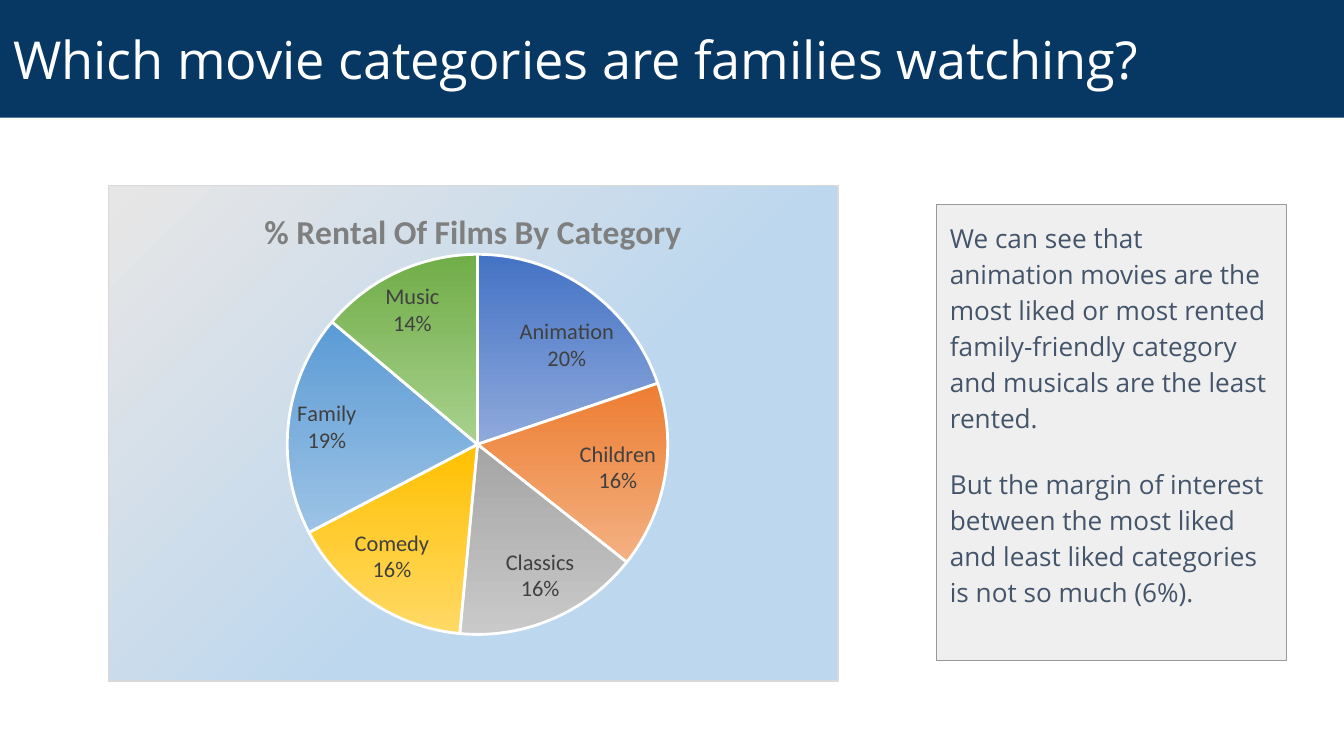
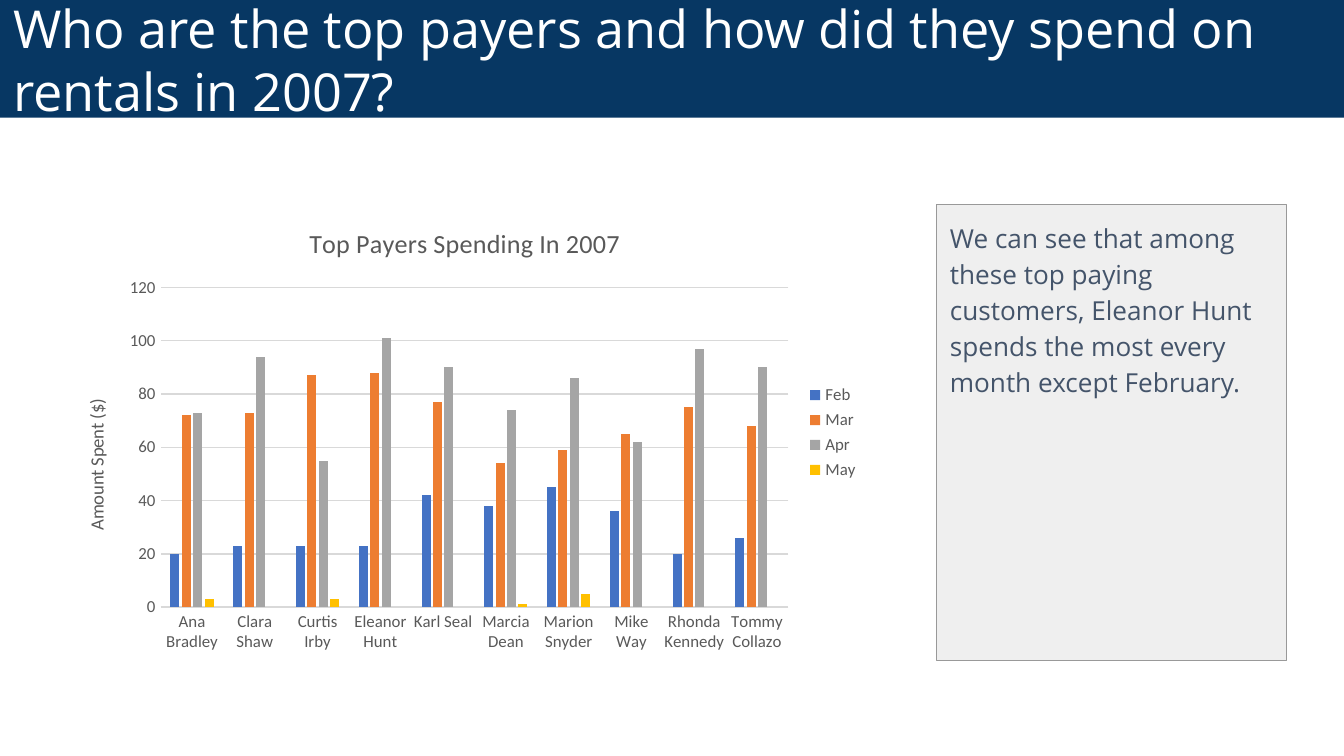
from dataclasses import dataclass

from lxml import etree
from pptx import Presentation
from pptx import util as u
from pptx.chart.data import CategoryChartData
from pptx.dml.color import RGBColor
from pptx.enum import chart as ce
from pptx.enum import shapes, text
from pptx.oxml import parse_xml
from pptx.oxml.ns import nsdecls, qn

PX = 9525  # EMU in one px, 96 px to the inch


@dataclass(frozen=True)
class Theme:
    head: str = "Open Sans"
    plot: str = "Calibri"
    navy: str = "073763"
    white: str = "FFFFFF"
    panel: str = "EFEFEF"
    edge: str = "999999"
    body: str = "44546A"
    grid: str = "D9D9D9"
    axis: str = "595959"
    label: str = "404040"
    bold: str = "7F7F7F"
    sky: str = "BDD7EE"
    mist: str = "E7E6E6"
    hues: tuple = ("4472C4", "ED7D31", "A5A5A5", "FFC000", "5B9BD5", "70AD47", "264478")
    tints: tuple = ("8FAADC", "F4B183", "C9C9C9", "FFD966", "9DC3E6", "A9D18E", "5F86CC")
    title: int = 28
    note: int = 14
    pie_title: int = 18
    bar_title: int = 14
    slice: int = 12
    axis_title: int = 10
    tick: int = 9


def rgb(code):
    return RGBColor.from_string(code)


def style(font, face, size, color, bold=False):
    font.name, font.size, font.bold = face, u.Pt(size), bold
    font.color.rgb = rgb(color)


def stroke(line, color, width=0.75):
    line.color.rgb = rgb(color)
    line.width = u.Pt(width)


class Deck:
    def __init__(self, theme):
        self.look = theme
        self.prs = Presentation()
        self.prs.slide_width = 960 * PX
        self.prs.slide_height = 540 * PX
        self.slide = None

    def page(self, title):
        """Start a slide with its title band."""
        look = self.look
        self.slide = self.prs.slides.add_slide(self.prs.slide_layouts[6])
        band = self.box(0, 0, 960, 84, look.navy)
        self.label(band, [title], look.title, look.white, text.MSO_ANCHOR.MIDDLE)

    def box(self, x, y, w, h, fill, edge=None):
        kind = shapes.MSO_SHAPE.RECTANGLE
        box = self.slide.shapes.add_shape(kind, x * PX, y * PX, w * PX, h * PX)
        box.shadow.inherit = False
        box.fill.solid()
        box.fill.fore_color.rgb = rgb(fill)
        if edge:
            stroke(box.line, edge)
        else:
            box.line.fill.background()
        return box

    def label(self, box, paras, size, color, anchor, lead=1.0, after=0):
        frame = box.text_frame
        frame.word_wrap = True
        frame.vertical_anchor = anchor
        frame.margin_left = frame.margin_right = u.Inches(0.1)
        frame.margin_top = frame.margin_bottom = u.Inches(0.1)
        frame.text = "\n".join(paras)
        for para in frame.paragraphs:
            para.alignment = text.PP_ALIGN.LEFT
            para.line_spacing = lead
            para.space_after = u.Pt(after)
            for run in para.runs:
                style(run.font, self.look.head, size, color)

    def note(self, *paras):
        look = self.look
        box = self.box(669, 146, 250, 326, look.panel, look.edge)
        self.label(box, paras, look.note, look.body, text.MSO_ANCHOR.TOP, 1.15, 16)

    def chart(self, kind, x, y, w, h, cats, rows):
        data = CategoryChartData()
        data.categories = cats
        for name, vals in rows.items():
            data.add_series(name, vals)
        frame = self.slide.shapes.add_chart(kind, x * PX, y * PX, w * PX, h * PX, data)
        chart = frame.chart
        chart.font.name = self.look.plot
        chart.font.size = u.Pt(10)
        return chart

    def head(self, title, words, size, color, bold=False):
        """Set the words of a chart title or an axis title."""
        title.text_frame.text = words
        run = title.text_frame.paragraphs[0].runs[0]
        style(run.font, self.look.plot, size, color, bold)

    def pie(self, x, y, w, h, title, cats, vals):
        look = self.look
        chart = self.chart(ce.XL_CHART_TYPE.PIE, x, y, w, h, cats, {"Series 1": vals})
        self.head(chart.chart_title, title, look.pie_title, look.bold, True)
        chart.has_legend = False
        self.glow(chart)
        self.place(chart, x=0.126, y=0.139, w=0.76, h=0.767)
        plot = chart.plots[0]
        plot.vary_by_categories = True
        for i, pair in enumerate(zip(look.hues, look.tints)):
            form = plot.series[0].points[i].format
            form.fill.gradient()
            form.fill.gradient_angle = 270
            for stop, color in zip(form.fill.gradient_stops, pair):
                stop.color.rgb = rgb(color)
            stroke(form.line, look.white, 1.5)
        plot.has_data_labels = True
        tags = plot.data_labels
        tags.show_value = False
        tags.show_percentage = tags.show_category_name = True
        tags.number_format, tags.number_format_is_linked = "0%", False
        tags.position = ce.XL_LABEL_POSITION.BEST_FIT
        style(tags.font, look.plot, look.slice, look.label)

    def glow(self, chart):
        """Fill the chart area with a radial gradient and give it a thin border."""
        look = self.look
        area = parse_xml(
            f'<c:spPr {nsdecls("c", "a")}><a:gradFill><a:gsLst>'
            f'<a:gs pos="40000"><a:srgbClr val="{look.sky}"/></a:gs>'
            f'<a:gs pos="100000"><a:srgbClr val="{look.mist}"/></a:gs></a:gsLst>'
            '<a:path path="circle"><a:fillToRect l="100000" t="100000"/></a:path>'
            f'</a:gradFill><a:ln w="9525"><a:solidFill><a:srgbClr val="{look.grid}"/>'
            '</a:solidFill></a:ln></c:spPr>')
        chart._chartSpace.find(qn("c:chart")).addnext(area)

    def place(self, chart, **spots):
        """Fix the inner plot area by shares of the chart."""
        area = chart._chartSpace.find(qn("c:chart")).find(qn("c:plotArea"))
        for old in area.findall(qn("c:layout")):
            area.remove(old)
        layout = etree.Element(qn("c:layout"))
        manual = etree.SubElement(layout, qn("c:manualLayout"))
        parts = {"layoutTarget": "inner", "xMode": "edge", "yMode": "edge", **spots}
        for tag, val in parts.items():
            etree.SubElement(manual, qn("c:" + tag)).set("val", str(val))
        area.insert(0, layout)

    def bars(self, x, y, w, h, title, unit, cats, rows):
        look = self.look
        chart = self.chart(ce.XL_CHART_TYPE.COLUMN_CLUSTERED, x, y, w, h, cats, rows)
        self.head(chart.chart_title, title, look.bar_title, look.axis)
        plot = chart.plots[0]
        plot.vary_by_categories = False
        plot.gap_width, plot.overlap = 219, -27
        for row, color in zip(plot.series, look.hues):
            row.format.fill.solid()
            row.format.fill.fore_color.rgb = rgb(color)
        chart.has_legend = True
        chart.legend.position = ce.XL_LEGEND_POSITION.RIGHT
        chart.legend.include_in_layout = False
        style(chart.legend.font, look.plot, look.tick, look.axis)
        for axis in (chart.category_axis, chart.value_axis):
            axis.major_tick_mark = axis.minor_tick_mark = ce.XL_TICK_MARK.NONE
            style(axis.tick_labels.font, look.plot, look.tick, look.axis)
        stroke(chart.category_axis.format.line, look.grid)
        axis = chart.value_axis
        axis.format.line.fill.background()
        stroke(axis.major_gridlines.format.line, look.grid)
        self.head(axis.axis_title, unit, look.axis_title, look.axis)


def main():
    deck = Deck(Theme())

    deck.page("Which movie categories are families watching?")
    deck.pie(77, 132, 522, 355, "% Rental Of Films By Category",
             ["Animation", "Children", "Classics", "Comedy", "Family", "Music", "(blank)"],
             [20, 16, 16, 16, 19, 14, None])
    deck.note("We can see that animation movies are the most liked or most rented "
              "family-friendly category and musicals are the least rented.",
              "But the margin of interest between the most liked and least liked "
              "categories is not so much (6%).")

    deck.page("Who are the top payers and how did they spend on rentals in 2007?")
    deck.note("We can see that among these top paying customers, Eleanor Hunt spends "
              "the most every month except February.")
    payers = ["Ana Bradley", "Clara Shaw", "Curtis Irby", "Eleanor Hunt", "Karl Seal",
              "Marcia Dean", "Marion Snyder", "Mike Way", "Rhonda Kennedy", "Tommy Collazo"]
    spent = {
        "Feb": [20, 23, 23, 23, 42, 38, 45, 36, 20, 26],
        "Mar": [72, 73, 87, 88, 77, 54, 59, 65, 75, 68],
        "Apr": [73, 94, 55, 101, 90, 74, 86, 62, 97, 90],
        "May": [3, None, 3, None, None, 1, 5, None, None, None],
    }
    deck.bars(41, 146, 582, 326, "Top Payers Spending In 2007", "Amount Spent ($)",
              payers, spent)

    deck.prs.save("out.pptx")


if __name__ == "__main__":
    main()
